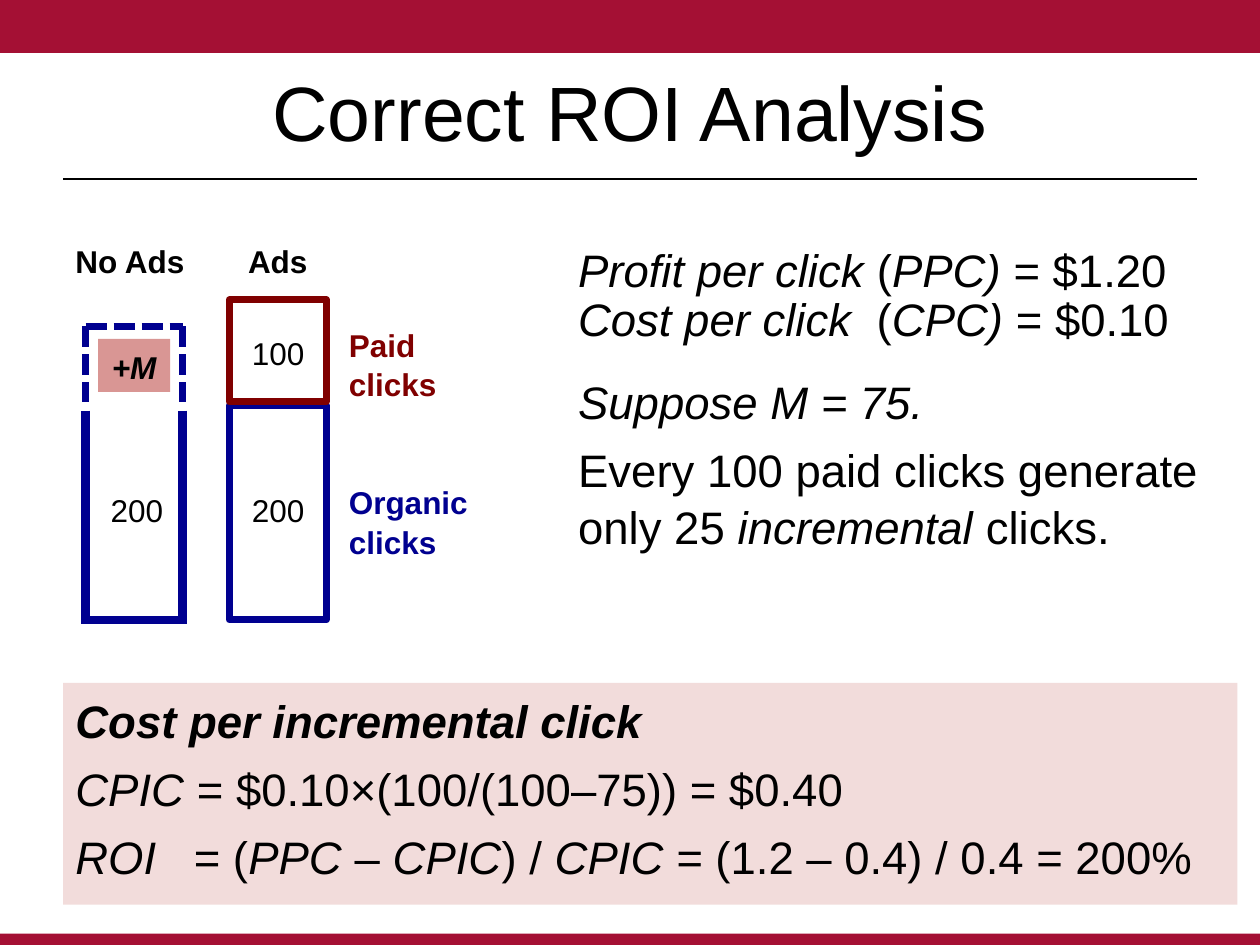
from lxml import etree
from pptx import Presentation
from pptx.dml.color import RGBColor
from pptx.enum.dml import MSO_LINE
from pptx.enum.shapes import MSO_CONNECTOR, MSO_SHAPE
from pptx.enum.text import MSO_ANCHOR, PP_ALIGN
from pptx.oxml.ns import qn
from pptx.util import Inches, Pt

RECTANGLE = MSO_SHAPE.RECTANGLE
STRAIGHT = MSO_CONNECTOR.STRAIGHT
DASH = MSO_LINE.SQUARE_DOT
LEFT, CENTER = PP_ALIGN.LEFT, PP_ALIGN.CENTER
TOP, MIDDLE = MSO_ANCHOR.TOP, MSO_ANCHOR.MIDDLE

COLORS = {
    "crimson": "A41034",
    "black": "000000",
    "white": "FFFFFF",
    "paid": "800000",
    "organic": "000090",
    "panel": "F2DCDB",
    "extra": "D99694",
}
BODY = {"size": Pt(26)}
LABEL = {"size": Pt(18)}
BOLD_LABEL = {"size": Pt(18), "bold": True}


def color(name):
    return RGBColor.from_string(COLORS[name])


def add_tab_stop(paragraph, position):
    tabs = etree.SubElement(paragraph._p.get_or_add_pPr(), qn("a:tabLst"))
    etree.SubElement(tabs, qn("a:tab"), pos=str(Inches(position)), algn="l")


def add_runs(paragraph, text, font, ink):
    """Text between asterisks is italic; a newline is a line break."""
    for index, part in enumerate(text.split("*")):
        for row, line in enumerate(part.split("\n")):
            if row:
                paragraph.add_line_break()
            if not line:
                continue
            run = paragraph.add_run()
            run.text = line
            values = {"name": "Arial", "bold": False, "italic": index % 2 == 1, **font}
            for name, value in values.items():
                setattr(run.font, name, value)
            run.font.color.rgb = color(ink)


def write(shape, texts, font, ink="black", align=LEFT, anchor=TOP,
          wrap=True, spacing=1.05, tab=None):
    frame = shape.text_frame
    values = {"word_wrap": wrap, "vertical_anchor": anchor, "margin_top": Inches(0.06)}
    for name, value in values.items():
        setattr(frame, name, value)
    for index, text in enumerate(texts):
        paragraph = frame.add_paragraph() if index else frame.paragraphs[0]
        paragraph.alignment = align
        paragraph.line_spacing = spacing
        paragraph.space_before = Pt(6 if index else 0)
        if "\t" in text:
            add_tab_stop(paragraph, tab)
        add_runs(paragraph, text, font, ink)


def add_text(slide, box, texts, font, **options):
    shape = slide.shapes.add_textbox(*map(Inches, box))
    write(shape, texts, font, **options)


def add_box(slide, box, fill=None, line=None):
    shape = slide.shapes.add_shape(RECTANGLE, *map(Inches, box))
    shape.shadow.inherit = False
    if fill:
        shape.fill.solid()
        shape.fill.fore_color.rgb = color(fill)
    else:
        shape.fill.background()
    if line:
        shape.line.color.rgb = color(line)
        shape.line.width = Pt(4)
    else:
        shape.line.fill.background()
    return shape


def add_line(slide, points, ink, width, dash=None):
    line = slide.shapes.add_connector(STRAIGHT, *map(Inches, points))
    line.line.color.rgb = color(ink)
    line.line.width = Pt(width)
    if dash:
        line.line.dash_style = dash
    etree.SubElement(line._element.spPr, qn("a:effectLst"))


def add_title(slide, text):
    title = slide.shapes.title
    box = {"left": 0.5, "top": 0.25, "width": 9, "height": 1.25}
    for name, value in box.items():
        setattr(title, name, Inches(value))
    write(title, [text], {"size": Pt(44)}, align=CENTER, anchor=MIDDLE, spacing=1.0)


def add_ads_bar(slide):
    add_box(slide, (1.82, 3.22, 0.77, 1.7), line="organic")
    add_box(slide, (1.82, 2.38, 0.77, 0.81), line="paid")


def add_no_ads_bar(slide):
    left, right, top, bottom = 0.68, 1.45, 2.59, 4.92
    add_box(slide, (0.72, 2.86, 0.71, 0.49), fill="white")
    extra = add_box(slide, (0.78, 2.69, 0.57, 0.42), fill="extra")
    write(extra, ["*+M*"], BOLD_LABEL, align=CENTER, anchor=MIDDLE, wrap=False)
    # Dashed top for the extra clicks, solid base for the organic ones
    for x in (left, right):
        add_line(slide, (x, top, x, 3.19), "organic", 4, DASH)
        add_line(slide, (x, 3.26, x, 4.95), "organic", 5)
    add_line(slide, (left, top, right, top), "organic", 4, DASH)
    add_line(slide, (left, bottom, right, bottom), "organic", 5)


def add_labels(slide):
    for box, text, font in (
        ((1.9, 2.58, 0.62, 0.4), "100", LABEL),
        ((1.9, 3.82, 0.62, 0.4), "200", LABEL),
        ((0.78, 3.82, 0.62, 0.4), "200", LABEL),
        ((1.87, 1.85, 0.68, 0.4), "Ads", BOLD_LABEL),
        ((0.5, 1.85, 1.08, 0.4), "No Ads", BOLD_LABEL),
    ):
        add_text(slide, box, [text], font, wrap=False)
    add_text(slide, (2.67, 2.51, 1.19, 0.71), ["Paid \nclicks"], BOLD_LABEL, ink="paid")
    add_text(slide, (2.67, 3.76, 1.25, 0.71), ["Organic \nclicks"], BOLD_LABEL,
             ink="organic")


def add_assumptions(slide):
    add_text(slide, (4.49, 1.98, 5.2, 0.71), [
        "*Profit per click* (*PPC)* = $1.20",
        "*Cost per click*\t(*CPC)* = $0.10",
    ], BODY, spacing=Pt(22.4), tab=2.37)
    add_text(slide, (4.49, 2.89, 5.51, 0.84), [
        "*Suppose M = 75.*",
        "Every 100 paid clicks generate only 25 *incremental* clicks.",
    ], BODY)


def add_result(slide):
    panel = add_box(slide, (0.5, 5.42, 9.32, 1.76), fill="panel")
    write(panel, ["*Cost per incremental click*"], {**BODY, "bold": True})
    frame = panel.text_frame
    for text in (
        "*CPIC* = $0.10×(100/(100–75)) = $0.40",
        "*ROI*\t= (*PPC* – *CPIC*) / *CPIC =* (1.2 – 0.4) / 0.4 = 200%",
    ):
        paragraph = frame.add_paragraph()
        paragraph.alignment = LEFT
        paragraph.line_spacing = 1.05
        paragraph.space_before = Pt(6)
        if "\t" in text:
            add_tab_stop(paragraph, 0.94)
        add_runs(paragraph, text, BODY, "black")


def main():
    presentation = Presentation()
    presentation.slide_width = Inches(10)
    presentation.slide_height = Inches(7.5)
    slide = presentation.slides.add_slide(presentation.slide_layouts[5])

    # Frame and title
    add_box(slide, (0, 0, 10, 0.42), fill="crimson")
    add_box(slide, (0, 7.41, 10, 0.09), fill="crimson")
    add_line(slide, (0.5, 1.42, 9.5, 1.42), "black", 1.25)
    add_title(slide, "Correct ROI Analysis")

    # Click bars with their labels
    add_ads_bar(slide)
    add_no_ads_bar(slide)
    add_labels(slide)

    # Assumptions and result
    add_assumptions(slide)
    add_result(slide)
    presentation.save("out.pptx")


if __name__ == "__main__":
    main()
